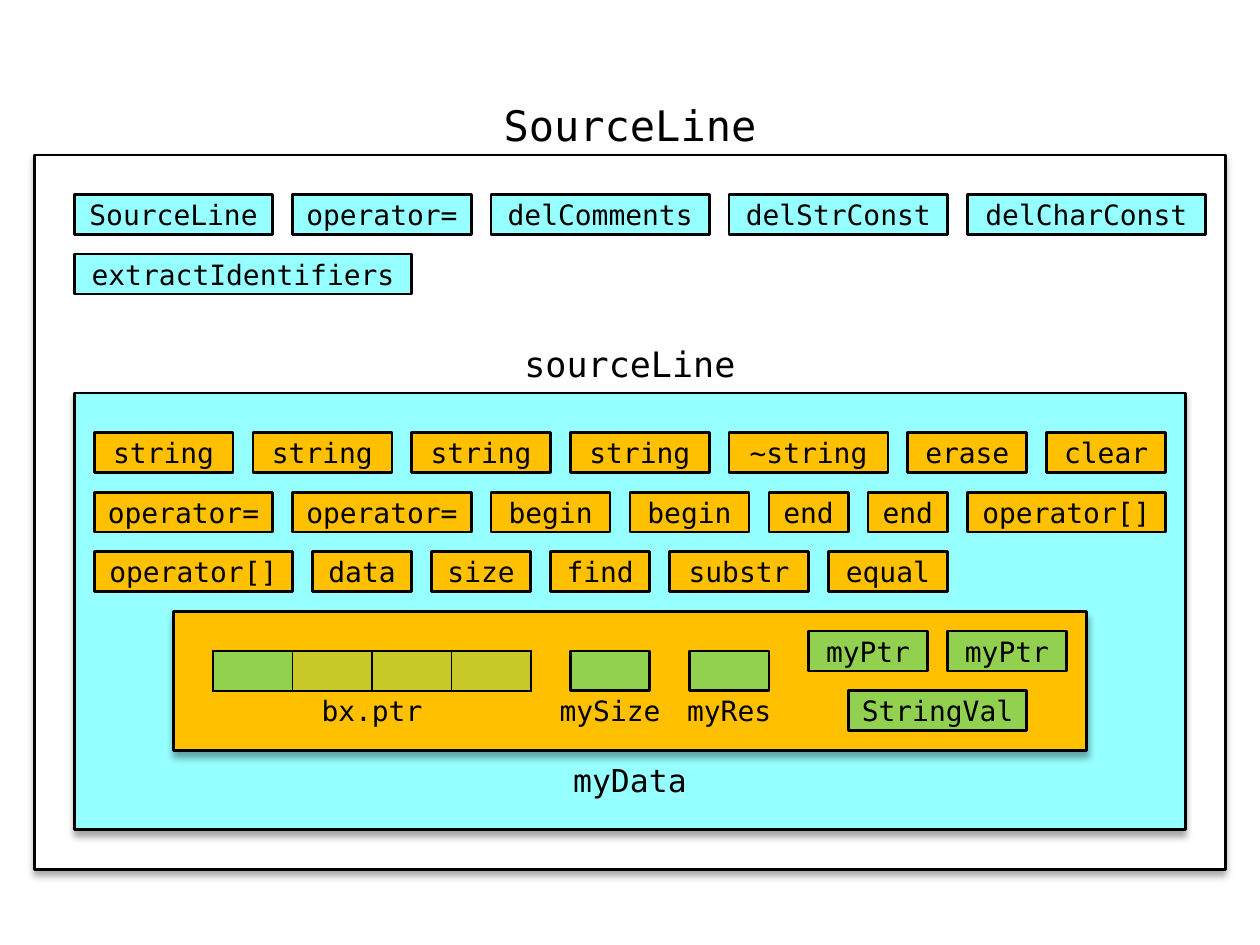
from lxml.etree import SubElement
from pptx import Presentation
from pptx.dml.color import RGBColor
from pptx.enum.shapes import MSO_SHAPE
from pptx.enum.text import MSO_ANCHOR, PP_ALIGN
from pptx.oxml import parse_xml
from pptx.oxml.ns import nsdecls, qn
from pptx.util import Inches, Mm, Pt

BLACK = RGBColor(0, 0, 0)
WHITE = RGBColor(255, 255, 255)
CYAN = RGBColor(0x96, 0xFF, 0xFF)
GOLD = RGBColor(0xFF, 0xC0, 0x00)
GREEN = RGBColor(0x92, 0xD0, 0x50)
FONT = "DejaVu Sans Mono"

deck = Presentation()
deck.slide_width, deck.slide_height = Inches(10), Inches(7.5)
slide = deck.slides.add_slide(deck.slide_layouts[6])

# Grid of 4 mm squares; the outer frame is 60 columns by 36 rows
UNIT = Mm(4)
LEFT = (deck.slide_width - 60 * UNIT) // 2
TOP = Inches(1.23)


def box(col, row, wide, high, fill=None, text="", size=16, shade=False):
    """Place a box or, without a fill, a bare label on the grid."""
    area = (LEFT + col * UNIT, TOP + row * UNIT, wide * UNIT, high * UNIT)
    if fill is None:
        shape = slide.shapes.add_textbox(*area)
    else:
        shape = slide.shapes.add_shape(MSO_SHAPE.FLOWCHART_PROCESS, *area)
        shape.shadow.inherit = False
        shape.fill.solid()
        shape.fill.fore_color.rgb = fill
        shape.line.color.rgb = BLACK
        shape.line.width = Pt(1.5)
    if shade:
        glow = parse_xml(
            f'<a:outerShdw {nsdecls("a")} blurRad="{Pt(4)}" dist="{Pt(3)}" '
            'dir="5400000" rotWithShape="0"><a:srgbClr val="000000">'
            '<a:alpha val="35000"/></a:srgbClr></a:outerShdw>')
        shape._element.spPr.find(qn("a:effectLst")).append(glow)
    if text:
        frame = shape.text_frame
        frame.word_wrap = True
        frame.vertical_anchor = MSO_ANCHOR.MIDDLE
        frame.margin_left = frame.margin_right = Inches(0.04)
        frame.margin_top = frame.margin_bottom = 0
        para = frame.paragraphs[0]
        para.text = text
        para.alignment = PP_ALIGN.CENTER
        para.font.name, para.font.size = FONT, Pt(size)
        para.font.color.rgb = BLACK


def line_up(col, row, names, fill):
    """Set a row of name boxes, each as wide as its name needs."""
    for name in names.split():
        count = len(name)
        wide = count + 1 if count < 8 else min(count, 17)
        box(col, row, wide, 2, fill, name)
        col += wide + 1


# Nested frames and their titles
box(0, 0, 60, 36, WHITE, shade=True)
box(2, 12, 56, 22, CYAN, shade=True)
box(7, 23, 46, 7, GOLD, shade=True)
box(22, -3, 16, 3, text="SourceLine", size=24)
box(24, 9, 12, 3, text="sourceLine", size=20)
box(26, 30, 8, 3, text="myData", size=18)

# Member functions of each frame
line_up(2, 2, "SourceLine operator= delComments delStrConst delCharConst", CYAN)
line_up(2, 5, "extractIdentifiers", CYAN)
line_up(3, 14, "string string string string ~string erase clear", GOLD)
line_up(3, 17, "operator= operator= begin begin end end operator[]", GOLD)
line_up(3, 20, "operator[] data size find substr equal", GOLD)
line_up(39, 24, "myPtr myPtr", GREEN)
line_up(41, 27, "StringVal", GREEN)

# Data members
for col in (27, 33):
    box(col, 25, 4, 2, GREEN)
for col, name in ((14, "bx.ptr"), (26, "mySize"), (32, "myRes")):
    box(col, 27, 6, 2, text=name)

# Buffer: one solid cell, then three half-transparent ones
table = slide.shapes.add_table(
    1, 4, LEFT + 9 * UNIT, TOP + 25 * UNIT, 16 * UNIT, 2 * UNIT).table
table.first_row = table.horz_banding = False
for i in range(4):
    table.columns[i].width = 4 * UNIT
    cell = table.cell(0, i)
    cell.margin_top = cell.margin_bottom = 0
    cell.text_frame.paragraphs[0].font.size = Pt(12)
    cell.fill.solid()
    cell.fill.fore_color.rgb = GREEN
    props = cell._tc.get_or_add_tcPr()
    if i:
        SubElement(props.find(".//" + qn("a:srgbClr")), qn("a:alpha"), val="50000")
    thick = {"L": i == 0, "R": i == 3, "T": True, "B": True}
    for spot, (side, bold) in enumerate(thick.items()):
        width = Pt(1.5 if bold else 1)
        props.insert(spot, parse_xml(
            f'<a:ln{side} {nsdecls("a")} w="{width}"><a:solidFill>'
            f'<a:srgbClr val="{BLACK}"/></a:solidFill></a:ln{side}>'))

deck.save("out.pptx")
